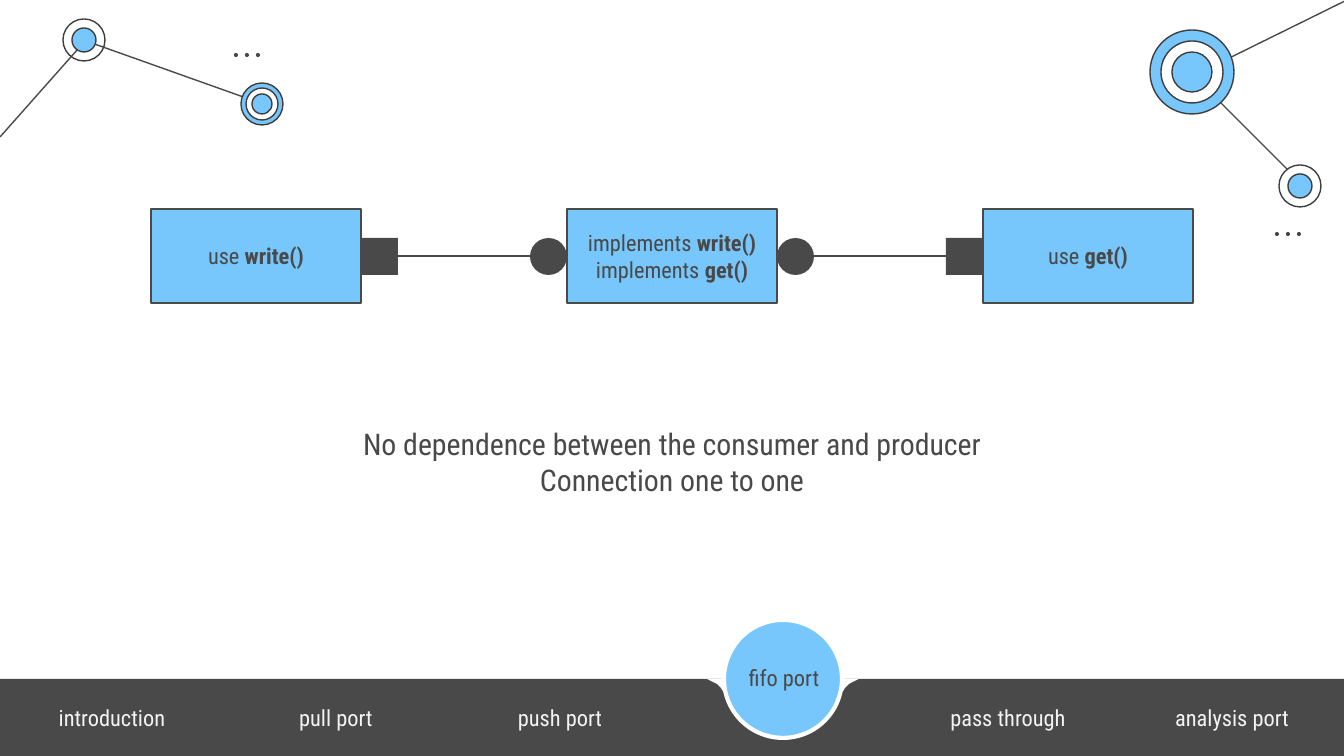
from lxml import etree
from pptx import Presentation
from pptx import util as u
from pptx.dml.color import RGBColor
from pptx.enum import shapes, text
from pptx.oxml.ns import qn

PX = 914400 / 134.4
WIDE, HIGH = 1344, 756
DARK, EDGE, BLUE, WHITE, PALE = "494949", "3D3D3D", "77C6FC", "FFFFFF", "F3F3F3"
FONT = "Roboto Condensed"
RECT, OVAL = shapes.MSO_SHAPE.RECTANGLE, shapes.MSO_SHAPE.OVAL


def px(*nums):
    return [u.Emu(round(n * PX)) for n in nums]


def rgb(code):
    return RGBColor.from_string(code)


def curve(a, b, c, d, steps=12):
    """Points along a cubic Bezier from a to d."""
    def at(t, i):
        s = 1 - t
        return s**3 * a[i] + 3 * s * s * t * b[i] + 3 * s * t * t * c[i] + t**3 * d[i]
    return [(at(n / steps, 0), at(n / steps, 1)) for n in range(steps + 1)]


class Deck:
    def __init__(self):
        self.prs = Presentation()
        self.prs.slide_width, self.prs.slide_height = px(WIDE, HIGH)
        self.page = self.prs.slides.add_slide(self.prs.slide_layouts[6]).shapes

    def paint(self, item, fill, line=None, width=0.75):
        item.shadow.inherit = False
        if fill:
            item.fill.solid()
            item.fill.fore_color.rgb = rgb(fill)
        else:
            item.fill.background()
        if line:
            item.line.color.rgb = rgb(line)
            item.line.width = u.Pt(width)
        else:
            item.line.fill.background()

    def shape(self, kind, x, y, w, h, fill, line=None, width=0.75):
        item = self.page.add_shape(kind, *px(x, y, w, h))
        self.paint(item, fill, line, width)
        return item

    def disc(self, x, y, r, fill, line=None, width=0.75):
        self.shape(OVAL, x - r, y - r, 2 * r, 2 * r, fill, line, width)

    def rings(self, x, y, *discs):
        for r, fill in discs:
            self.disc(x, y, r, fill, EDGE)

    def dots(self, x, y):
        for n in range(3):
            self.disc(x + 11 * n, y, 2, DARK)

    def line(self, x1, y1, x2, y2, width=0.75):
        item = self.page.add_connector(shapes.MSO_CONNECTOR.STRAIGHT, *px(x1, y1, x2, y2))
        item.line.color.rgb = rgb(DARK)
        item.line.width = u.Pt(width)
        etree.SubElement(item._element.spPr, qn("a:effectLst"))

    def outline(self, points, fill):
        pen = self.page.build_freeform(*points[0], scale=PX)
        pen.add_line_segments(points[1:])
        self.paint(pen.convert_to_shape(), fill)

    def words(self, item, rows, size=12, color=DARK, anchor=text.MSO_ANCHOR.MIDDLE):
        """Each row is a plain string followed by an optional bold one."""
        frame = item.text_frame
        frame.word_wrap = True
        frame.vertical_anchor = anchor
        frame.text = "\n".join(row[0] for row in rows)
        for para, row in zip(frame.paragraphs, rows):
            para.alignment = text.PP_ALIGN.CENTER
            for bold in row[1:]:
                run = para.add_run()
                run.text = bold
                run.font.bold = True
            for run in para.runs:
                run.font.name = FONT
                run.font.size = u.Pt(size)
                run.font.color.rgb = rgb(color)

    def label(self, x, y, w, h, rows, **look):
        item = self.page.add_textbox(*px(x, y, w, h))
        self.words(item, rows, **look)
        return item


def corners(deck):
    for ends in ((1300, 182, 1192, 74), (86, 41, 263, 104), (0, 137, 86, 40), (1345, 1, 1197, 74)):
        deck.line(*ends)
    deck.rings(84, 40, (21, None), (12, BLUE))
    deck.rings(262, 104, (21, BLUE), (16, WHITE), (10, BLUE))
    deck.rings(1192, 72, (42, BLUE), (31, WHITE), (20, BLUE))
    deck.rings(1300, 186, (21, WHITE), (12, BLUE))
    deck.dots(236, 55)
    deck.dots(1277, 234)


def menu(deck):
    top, mid, tall, active = 679, 783, 77, 3
    deck.shape(RECT, 0, top, WIDE, tall, DARK)
    bend = curve((726, 695), (719, 684), (711, 679), (703, 679))
    notch = [(703, 679), (736, 679), (736, 699), (727, 699)] + bend
    deck.outline(notch, WHITE)
    deck.outline([(2 * mid - x, y) for x, y in notch], WHITE)
    deck.disc(mid, top, 59, BLUE, WHITE, 2.25)
    names = ["introduction", "pull port", "push port", "fifo port", "pass through", "analysis port"]
    step = WIDE // len(names)
    for n, name in enumerate(names):
        here = n == active
        deck.label(n * step, 639 if here else top, step, tall, [(name,)],
                   color=DARK if here else PALE)


def ports(deck):
    left, step, wide, top, tall, side = 151, 416, 210, 209, 94, 37
    mid = top + tall // 2
    boxes = [[("use ", "write()")],
             [("implements ", "write()"), ("implements ", "get()")],
             [("use ", "get()")]]
    for n, rows in enumerate(boxes):
        box = deck.shape(RECT, left + n * step, top, wide, tall, BLUE, DARK, 1)
        deck.words(box, rows)
    for n, kinds in enumerate([(RECT, OVAL), (OVAL, RECT)]):
        start, end = left + n * step + wide, left + (n + 1) * step
        deck.line(start + side, mid, end - side, mid, 1.5)
        for kind, x in zip(kinds, (start, end - side)):
            deck.shape(kind, x, mid - side // 2, side, side, DARK)


def main():
    deck = Deck()
    corners(deck)
    menu(deck)
    note = deck.label(319, 413, 706, 167,
                      [("No dependence between the consumer and producer",),
                       ("Connection one to one",)],
                      size=16, anchor=text.MSO_ANCHOR.TOP)
    frame = note.text_frame
    frame.margin_top, frame.margin_bottom = px(13, 13)
    ports(deck)
    deck.prs.save("out.pptx")


if __name__ == "__main__":
    main()
